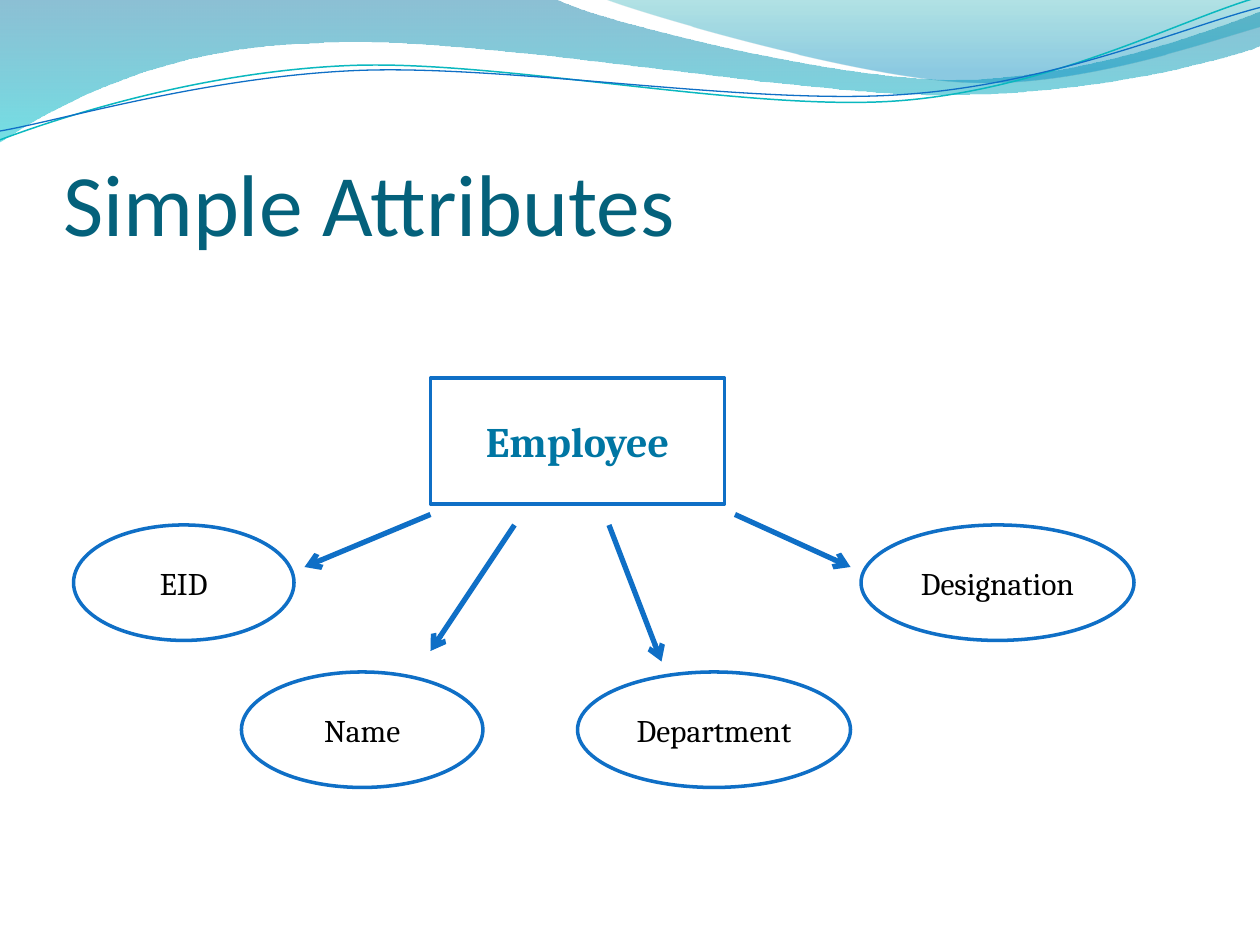
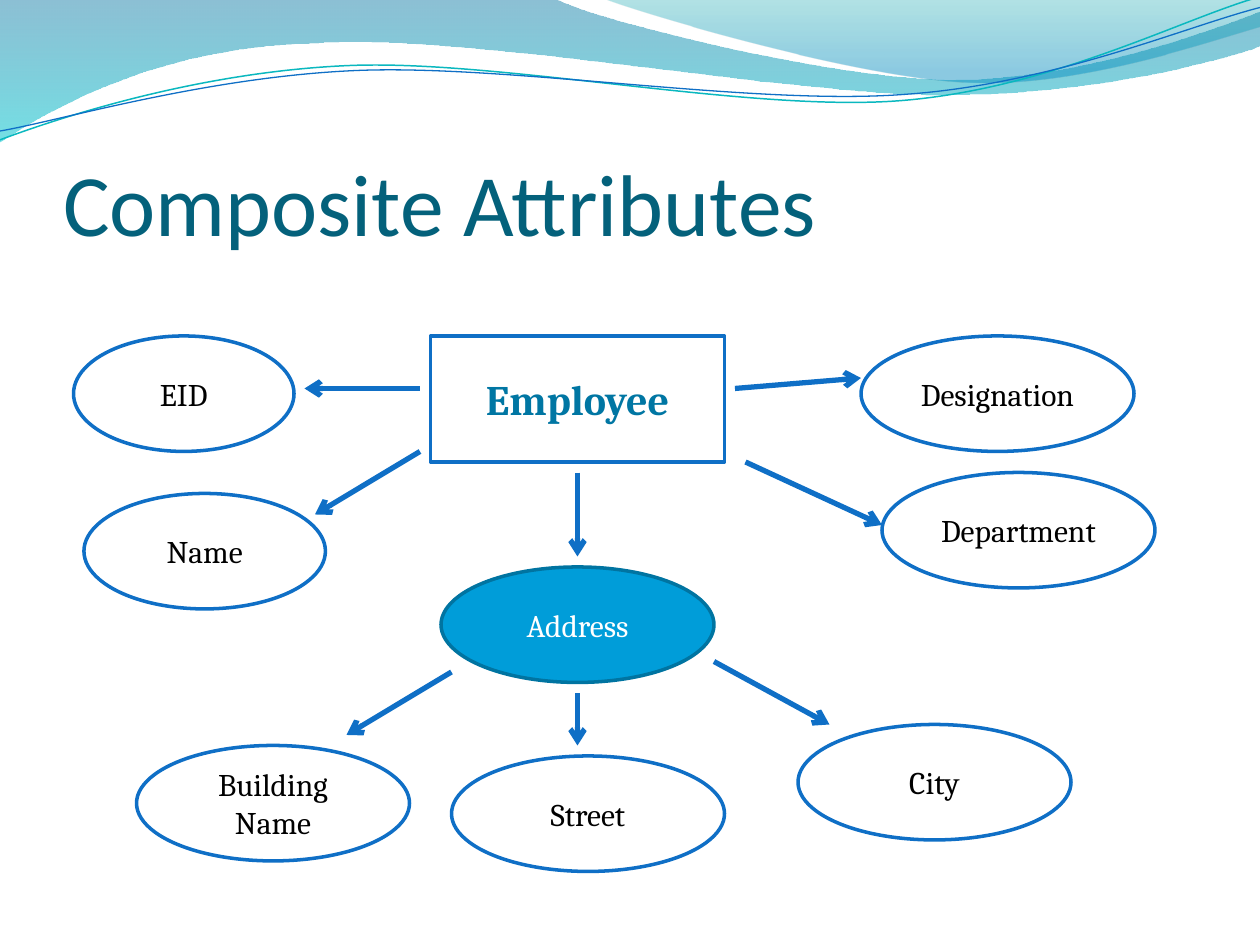
from math import cos, radians, sin

from pptx import Presentation, util as u
from pptx.dml.color import RGBColor
from pptx.enum import shapes as kinds, text
from pptx.oxml.ns import qn
from lxml import etree

HUES = dict(title="04617B", edge="0F6FC6", head="0076A3", ink="000000", white="FFFFFF",
            sky="009DD9", deep="0074A1", aqua="00C6CF", teal="00A1A9", blue="008BBF",
            wave="0AB8BF")

WIDE, HIGH = 10, 7.5
COLS = 120
CELL = u.Inches(WIDE) // COLS
TILT = -2.7

SIZES = {"Employee": (28, 12), "EID": (21, 11), "Name": (23, 11)}
OVAL = (26, 11)

LOOKS = {
    "entity": dict(kind="RECTANGLE", fill="white", line="edge", ink="head", size=24, bold=True),
    "leaf": dict(kind="OVAL", fill="white", line="edge", ink="ink", size=18, bold=False),
    "group": dict(kind="OVAL", fill="sky", line="deep", ink="white", size=18, bold=False),
}
ROLES = {"Employee": "entity", "Address": "group"}

SLIDES = [
    dict(title="Simple Attributes",
         nodes={"Employee": (41, 36), "EID": (7, 50), "Name": (23, 64),
                "Department": (55, 64), "Designation": (82, 50)},
         arrows=[(41, 49, 29, 54), (49, 50, 41, 62), (58, 50, 63, 63), (70, 49, 81, 54)]),
    dict(title="Composite Attributes",
         nodes={"Employee": (41, 32), "EID": (7, 32), "Name": (8, 47), "Address": (42, 54),
                "Designation": (82, 32), "Department": (84, 45),
                "Building Name": (13, 71), "Street": (43, 72), "City": (76, 69)},
         arrows=[(40, 37, 29, 37), (40, 43, 30, 49), (55, 45, 55, 53), (70, 37, 82, 36),
                 (71, 44, 84, 50), (43, 64, 33, 70), (55, 66, 55, 71), (68, 63, 79, 69)]),
]

BANDS = [
    dict(start=(0, 0), stops=[(0, "deep", 45), (1, "aqua", 55)],
         parts=[(4.4, -.01), (4.76, .17, 6.64, .63, 7.58, .63), (8.53, .63, 9.58, .26, 10, .09),
                (10.01, .36), (9.83, .44, 8.7, .76, 7.46, .75), (6.22, .75, 3.82, .28, 2.57, .34),
                (1.29, .36, .46, .83, -.01, 1.13), (0, 0)]),
    dict(start=(4.79, -.01), stops=[(0, "teal", 30), (.8, "blue", 45)],
         parts=[(5.09, .11, 6.82, .62, 7.69, .65), (8.56, .69, 9.61, .32, 10, .21), (10, 0),
                (4.79, -.01)]),
]
WAVES = [
    dict(start=(0, 1.11), line=("wave", .85), hub=(4.99, .58),
         parts=[(.48, .93, 1.58, .57, 2.77, .52), (3.95, .47, 5.93, .89, 7.13, .8),
                (8.33, .71, 9.38, .15, 9.98, -.02)]),
    dict(start=(0, 1.04), line=("edge", .75), hub=(5, .59),
         parts=[(.47, .96, 1.64, .61, 2.83, .56), (4.03, .51, 5.97, .84, 7.17, .75),
                (8.36, .67, 9.41, .21, 10, .06)]),
]


def rgb(name):
    return RGBColor.from_string(HUES[name])


def assign(thing, **values):
    for key, value in values.items():
        setattr(thing, key, value)


def stroke(line, hue, width):
    line.color.rgb = rgb(hue)
    line.width = u.Pt(width)


def level(dot, hub):
    turn = radians(-TILT)
    x, y = dot[0] - hub[0], dot[1] - hub[1]
    return hub[0] + x * cos(turn) - y * sin(turn), hub[1] + x * sin(turn) + y * cos(turn)


def add_curve(slide, start, parts, hub=None):
    dots = [start] + [part[i:i + 2] for part in parts for i in range(0, len(part), 2)]
    if hub:
        dots = [level(dot, hub) for dot in dots]
    first, *rest = [(u.Inches(x), u.Inches(y)) for x, y in dots]
    pen = slide.shapes.build_freeform(*first)
    pen.add_line_segments(rest, close=not hub)
    shape = pen.convert_to_shape()
    shape.shadow.inherit = False
    legs = iter(list(shape.element.iter(qn("a:lnTo"))))
    for part in parts:
        leg = next(legs)
        if len(part) == 6:
            bend = etree.Element(qn("a:cubicBezTo"))
            leg.addprevious(bend)
            for piece in (leg, next(legs), next(legs)):
                bend.append(piece[0])
                piece.getparent().remove(piece)
    return shape


def shade(shape, stops):
    fill = shape.fill
    fill.gradient()
    fill.gradient_angle = 270
    for stop, (place, hue, _) in zip(fill.gradient_stops, stops):
        stop.position = place
        stop.color.rgb = rgb(hue)
    tints = shape.element.spPr.iter(qn("a:srgbClr"))
    for tint, (_, _, alpha) in zip(tints, stops):
        etree.SubElement(tint, qn("a:alpha"), val=str(alpha * 1000))


def add_bands(slide, master):
    decor = []
    for band in BANDS:
        shape = add_curve(slide, band["start"], band["parts"])
        shade(shape, band["stops"])
        shape.line.fill.background()
        decor.append(shape)
    lines = []
    for wave in WAVES:
        shape = add_curve(slide, wave["start"], wave["parts"], wave["hub"])
        shape.rotation = TILT
        shape.fill.background()
        stroke(shape.line, *wave["line"])
        lines.append(shape)
    decor.append(slide.shapes.add_group_shape(lines))
    for rank, shape in enumerate(decor):
        master.shapes.element.insert(2 + rank, shape.element)


def add_title(slide, words):
    title = slide.shapes.title
    assign(title, left=u.Inches(.5), top=u.Inches(.77), width=u.Inches(9), height=u.Inches(1.25))
    frame = title.text_frame
    assign(frame, text=words, margin_left=0, margin_right=0, margin_top=u.Inches(.05),
           margin_bottom=0, word_wrap=True, auto_size=text.MSO_AUTO_SIZE.NONE,
           vertical_anchor=text.MSO_ANCHOR.BOTTOM)
    para = frame.paragraphs[0]
    para.alignment = text.PP_ALIGN.LEFT
    assign(para.runs[0].font, name="Calibri", size=u.Pt(50))
    para.runs[0].font.color.rgb = rgb("title")


def add_node(slide, words, spot):
    look = LOOKS[ROLES.get(words, "leaf")]
    box = [CELL * n for n in spot + SIZES.get(words, OVAL)]
    shape = slide.shapes.add_shape(kinds.MSO_SHAPE[look["kind"]], *box)
    shape.shadow.inherit = False
    shape.fill.solid()
    shape.fill.fore_color.rgb = rgb(look["fill"])
    stroke(shape.line, look["line"], 2)
    frame = shape.text_frame
    assign(frame, text=words, word_wrap=True, vertical_anchor=text.MSO_ANCHOR.MIDDLE)
    para = frame.paragraphs[0]
    para.alignment = text.PP_ALIGN.CENTER
    assign(para.runs[0].font, name="Cambria", size=u.Pt(look["size"]), bold=look["bold"])
    para.runs[0].font.color.rgb = rgb(look["ink"])


def add_arrow(slide, ends):
    arrow = slide.shapes.add_connector(kinds.MSO_CONNECTOR.STRAIGHT, *[CELL * n for n in ends])
    stroke(arrow.line, "edge", 3)
    props = arrow.element.spPr
    etree.SubElement(props.find(qn("a:ln")), qn("a:tailEnd"), type="arrow")
    etree.SubElement(props, qn("a:effectLst"))


def main():
    deck = Presentation()
    assign(deck, slide_width=u.Inches(WIDE), slide_height=u.Inches(HIGH))
    for page in SLIDES:
        slide = deck.slides.add_slide(deck.slide_layouts[5])
        if page is SLIDES[0]:
            add_bands(slide, deck.slide_master)
        add_title(slide, page["title"])
        for words, spot in page["nodes"].items():
            add_node(slide, words, spot)
        for ends in page["arrows"]:
            add_arrow(slide, ends)
    deck.save("out.pptx")


if __name__ == "__main__":
    main()
